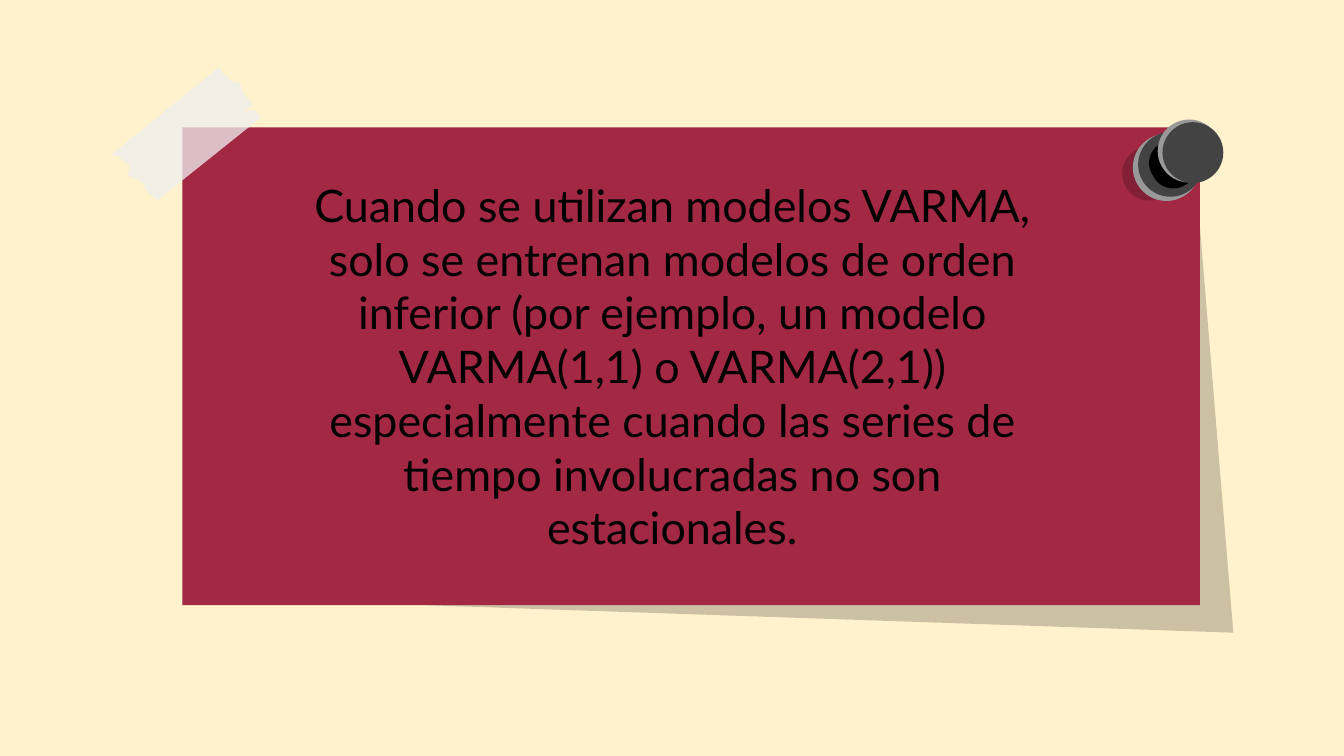
from lxml import etree
from pptx import Presentation
from pptx import util as u
from pptx.dml.color import RGBColor
from pptx.enum import shapes, text
from pptx.oxml.ns import qn

MSO = shapes.MSO_SHAPE
MESSAGE = ("Cuando se utilizan modelos VARMA, solo se entrenan modelos de orden inferior "
           "(por ejemplo, un modelo VARMA(1,1) o VARMA(2,1)) especialmente cuando las "
           "series de tiempo involucradas no son estacionales.")
TORN_TAPE = [(.72, 0), (0, .66), (.04, .67), (.12, .74), (.11, .82), (.14, .83), (.18, .85),
             (.22, .88), (.22, .91), (.23, .93), (.31, 1), (1, .38), (.96, .32), (.88, .34),
             (.95, .28), (.9, .22), (.87, .17), (.86, .12), (.81, .11), (.75, .05)]


def paint(fill, color, alpha=100):
    """Fill with a hex colour and an opacity in percent."""
    fill.solid()
    fill.fore_color.rgb = RGBColor.from_string(color)
    if alpha < 100:
        clr = fill._xPr.find(qn("a:solidFill"))[0]
        etree.SubElement(clr, qn("a:alpha"), val=str(alpha * 1000))


def finish(sp, color, alpha=100):
    """Give a shape a flat fill without line or shadow."""
    paint(sp.fill, color, alpha)
    sp.line.fill.background()
    sp.shadow.inherit = False
    return sp


def add_preset(s, kind, box, color, alpha=100):
    """Add a preset shape in a box given in centimetres."""
    return finish(s.shapes.add_shape(kind, *map(u.Cm, box)), color, alpha)


def add_outline(s, box, points, color, alpha=100):
    """Add a polygon whose points are fractions of its box."""
    x, y, w, h = box
    pts = [(u.Cm(x + fx * w), u.Cm(y + fy * h)) for fx, fy in points]
    builder = s.shapes.build_freeform(*pts[0], scale=1.0)
    builder.add_line_segments(pts[1:], close=True)
    return finish(builder.convert_to_shape(), color, alpha)


def add_note(s, box):
    """Draw the paper note over its slanted shadow."""
    x, y, w, h = box
    add_outline(s, (x, y - .1, w + .63, h + .62), [(.96, 0), (0, .93), (1, 1)], "000000", 20)
    add_preset(s, MSO.RECTANGLE, box, "A22844")


def add_message(s, box):
    """Place the title placeholder in front of the note."""
    sp = s.shapes.title
    sp.left, sp.top, sp.width, sp.height = map(u.Cm, box)
    s.shapes._spTree.append(sp._element)
    tf = sp.text_frame
    tf.text = MESSAGE
    p = tf.paragraphs[0]
    p.font.color.rgb = RGBColor.from_string("000000")
    formats = [
        (tf, {"word_wrap": True, "auto_size": text.MSO_AUTO_SIZE.NONE,
              "vertical_anchor": text.MSO_ANCHOR.MIDDLE, "margin_left": u.Cm(.25),
              "margin_right": u.Cm(.25), "margin_top": u.Cm(.25), "margin_bottom": u.Cm(1.27)}),
        (p, {"alignment": text.PP_ALIGN.CENTER, "line_spacing": 1.0}),
        (p.font, {"name": "Lato", "size": u.Pt(24), "bold": False}),
    ]
    for target, values in formats:
        for name, value in values.items():
            setattr(target, name, value)


def add_tape(s, box):
    """Draw the torn strip of translucent tape."""
    add_outline(s, box, TORN_TAPE, "EFEFEF", 76)


def add_pin(s, box):
    """Draw the push pin from its shadow up to its head."""
    x, y = box[:2]

    def disc(dx, dy, d, color, alpha=100):
        """Add one round layer of the pin."""
        add_preset(s, MSO.OVAL, (x + dx, y + dy, d, d), color, alpha)

    disc(0, .51, 1.02, "000000", 20)
    disc(.2, .27, 1.27, "999999")
    disc(.3, .24, 1.22, "434343")
    neck = add_preset(s, MSO.ROUNDED_RECTANGLE, (x + .71, y + .05, .91, 1.35), "000000")
    neck.adjustments[0] = .46
    neck.rotation = 59.8
    disc(.67, 0, 1.19, "999999")
    disc(.76, .05, 1.15, "434343")


def main():
    """Build and save the slide."""
    prs = Presentation()
    prs.slide_width, prs.slide_height = u.Cm(25.4), u.Cm(14.29)
    s = prs.slides.add_slide(prs.slide_layouts[5])
    paint(s.background.fill, "FFF2CC")
    add_note(s, (3.45, 2.41, 19.23, 9.03))
    add_message(s, (5.16, 5.59, 15.09, 3.66))
    add_tape(s, (2.11, 1.27, 2.82, 2.51))
    add_pin(s, (21.21, 2.26, 1.91, 1.53))
    prs.save("out.pptx")


if __name__ == "__main__":
    main()
